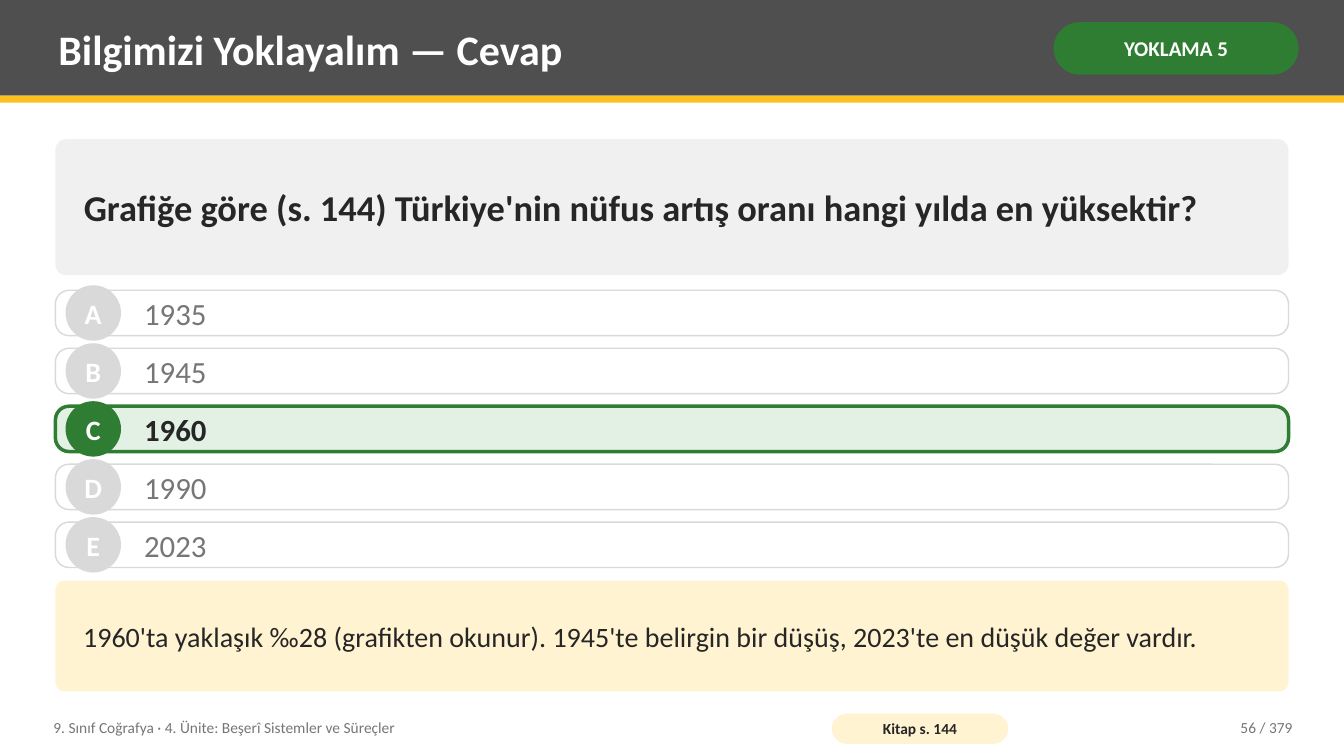
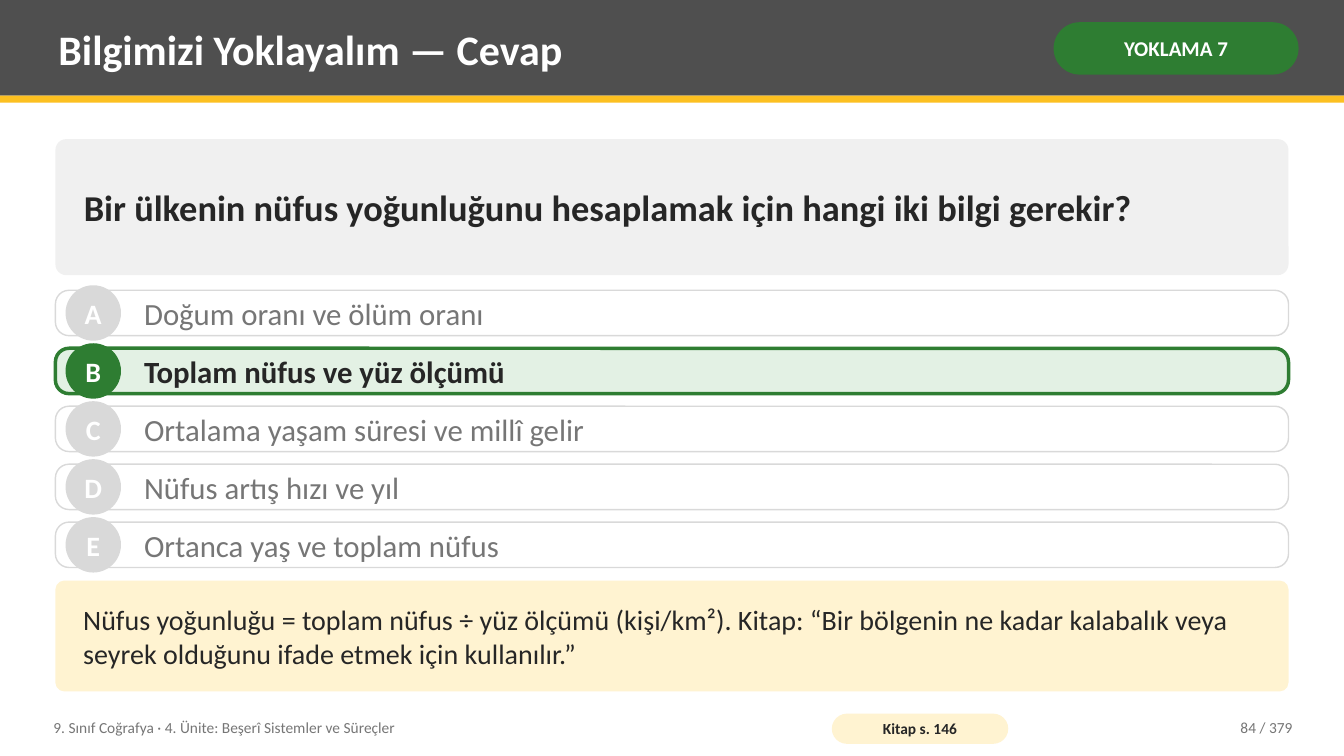
from pptx import Presentation
from pptx.dml.color import RGBColor
from pptx.enum.shapes import MSO_SHAPE
from pptx.enum.text import MSO_ANCHOR, PP_ALIGN
from pptx.util import Inches, Pt

RECTANGLE = MSO_SHAPE.RECTANGLE
ROUNDED = MSO_SHAPE.ROUNDED_RECTANGLE
OVAL = MSO_SHAPE.OVAL
MIDDLE = MSO_ANCHOR.MIDDLE
LEFT, CENTER, RIGHT = PP_ALIGN.LEFT, PP_ALIGN.CENTER, PP_ALIGN.RIGHT

FONT = "Calibri"
COLORS = {
    "white": "FFFFFF",
    "header": "4F4F4F",
    "accent": "FCC021",
    "green": "2E7D32",
    "light_green": "E3F1E4",
    "question": "F0F0F0",
    "cream": "FFF3D1",
    "outline": "D9D9D9",
    "ink": "262626",
    "muted": "767676",
}

SLIDE_WIDTH, SLIDE_HEIGHT = 13.33, 7.5
CONTENT_LEFT, CONTENT_WIDTH = 0.55, 12.23
FIRST_OPTION_TOP, LAST_OPTION_TOP = 2.88, 5.18
OPTION_HEIGHT, BADGE_SIZE = 0.45, 0.55

TITLE = "Bilgimizi Yoklayalım — Cevap"
FOOTER = "9. Sınıf Coğrafya · 4. Ünite: Beşerî Sistemler ve Süreçler"
PAGE_TOTAL = 379

ANSWERS = [
    {
        "quiz": 5,
        "question": "Grafiğe göre (s. 144) Türkiye'nin nüfus artış oranı hangi yılda en yüksektir?",
        "options": ["1935", "1945", "1960", "1990", "2023"],
        "correct": "C",
        "explanation": "1960'ta yaklaşık ‰28 (grafikten okunur). 1945'te belirgin bir düşüş, "
                       "2023'te en düşük değer vardır.",
        "book_page": 144,
        "number": 56,
    },
    {
        "quiz": 7,
        "question": "Bir ülkenin nüfus yoğunluğunu hesaplamak için hangi iki bilgi gerekir?",
        "options": [
            "Doğum oranı ve ölüm oranı",
            "Toplam nüfus ve yüz ölçümü",
            "Ortalama yaşam süresi ve millî gelir",
            "Nüfus artış hızı ve yıl",
            "Ortanca yaş ve toplam nüfus",
        ],
        "correct": "B",
        "explanation": "Nüfus yoğunluğu = toplam nüfus ÷ yüz ölçümü (kişi/km²). Kitap: “Bir bölgenin "
                       "ne kadar kalabalık veya seyrek olduğunu ifade etmek için kullanılır.”",
        "book_page": 146,
        "number": 84,
    },
]


def add_panel(page, kind, area, fill, radius=None, line=None, line_width=1):
    panel = page.shapes.add_shape(kind, *[Inches(length) for length in area])
    panel.shadow.inherit = False
    panel.fill.solid()
    panel.fill.fore_color.rgb = RGBColor.from_string(COLORS[fill])
    if radius is not None:
        panel.adjustments[0] = radius
    if line:
        panel.line.color.rgb = RGBColor.from_string(COLORS[line])
        panel.line.width = Pt(line_width)
    else:
        panel.line.fill.background()
    return panel


def write(target, text, size, color, bold=False, align=LEFT, insets=(0.08, 0.04), wrap=True):
    """Fill a shape with one run; insets are (horizontal, vertical) inches."""
    frame = target.text_frame
    frame.word_wrap = wrap
    frame.vertical_anchor = MIDDLE
    frame.margin_left = frame.margin_right = Inches(insets[0])
    frame.margin_top = frame.margin_bottom = Inches(insets[1])
    para = frame.paragraphs[0]
    para.alignment = align
    span = para.add_run()
    span.text = text
    span.font.name = FONT
    span.font.size = Pt(size)
    span.font.bold = bold
    span.font.color.rgb = RGBColor.from_string(COLORS[color])


deck = Presentation()
deck.slide_width = Inches(SLIDE_WIDTH)
deck.slide_height = Inches(SLIDE_HEIGHT)
blank_layout = deck.slide_layouts[6]

for answer in ANSWERS:
    page = deck.slides.add_slide(blank_layout)

    # Header
    add_panel(page, RECTANGLE, (0, 0, SLIDE_WIDTH, 0.95), "header")
    add_panel(page, RECTANGLE, (0, 0.95, SLIDE_WIDTH, 0.07), "accent")
    title_box = page.shapes.add_textbox(Inches(0.5), Inches(0.07), Inches(9.75), Inches(0.82))
    write(title_box, TITLE, 30, "white", bold=True)
    quiz_tag = add_panel(page, ROUNDED, (10.45, 0.22, 2.43, 0.52), "green", radius=0.5)
    write(quiz_tag, f"YOKLAMA {answer['quiz']}", 15, "white", bold=True,
          align=CENTER, insets=(0.05, 0.02))

    # Question
    question_panel = add_panel(page, ROUNDED, (CONTENT_LEFT, 1.38, CONTENT_WIDTH, 1.35),
                               "question", radius=0.08)
    write(question_panel, answer["question"], 26, "ink", bold=True, insets=(0.25, 0.08))

    # Options
    option_step = (LAST_OPTION_TOP - FIRST_OPTION_TOP) / (len(answer["options"]) - 1)
    for index, (letter, option) in enumerate(zip("ABCDE", answer["options"])):
        top = FIRST_OPTION_TOP + index * option_step
        correct = letter == answer["correct"]
        accent = "green" if correct else "outline"
        add_panel(page, ROUNDED, (CONTENT_LEFT, top, CONTENT_WIDTH, OPTION_HEIGHT),
                  "light_green" if correct else "white", radius=0.3,
                  line=accent, line_width=2.5 if correct else 1)
        badge_top = top + (OPTION_HEIGHT - BADGE_SIZE) / 2
        badge = add_panel(page, OVAL, (0.65, badge_top, BADGE_SIZE, BADGE_SIZE), accent)
        write(badge, letter, 20, "white", bold=True, align=CENTER, insets=(0, 0), wrap=False)
        option_box = page.shapes.add_textbox(Inches(1.35), Inches(top),
                                             Inches(11.23), Inches(OPTION_HEIGHT))
        write(option_box, option, 22, "ink" if correct else "muted", bold=correct)

    # Explanation
    explanation_panel = add_panel(page, ROUNDED, (CONTENT_LEFT, 5.76, CONTENT_WIDTH, 1.1),
                                  "cream", radius=0.08)
    write(explanation_panel, answer["explanation"], 20, "ink", insets=(0.25, 0.08))

    # Footer
    footer_box = page.shapes.add_textbox(Inches(0.45), Inches(7.04), Inches(7.6), Inches(0.36))
    write(footer_box, FOOTER, 11, "muted")
    book_tag = add_panel(page, ROUNDED, (8.25, 7.08, 1.75, 0.3), "cream", radius=0.5)
    write(book_tag, f"Kitap s. {answer['book_page']}", 11, "ink", bold=True,
          align=CENTER, insets=(0.04, 0))
    number_box = page.shapes.add_textbox(Inches(11.3), Inches(7.04), Inches(1.6), Inches(0.36))
    write(number_box, f"{answer['number']} / {PAGE_TOTAL}", 11, "muted", align=RIGHT)

deck.save("out.pptx")
